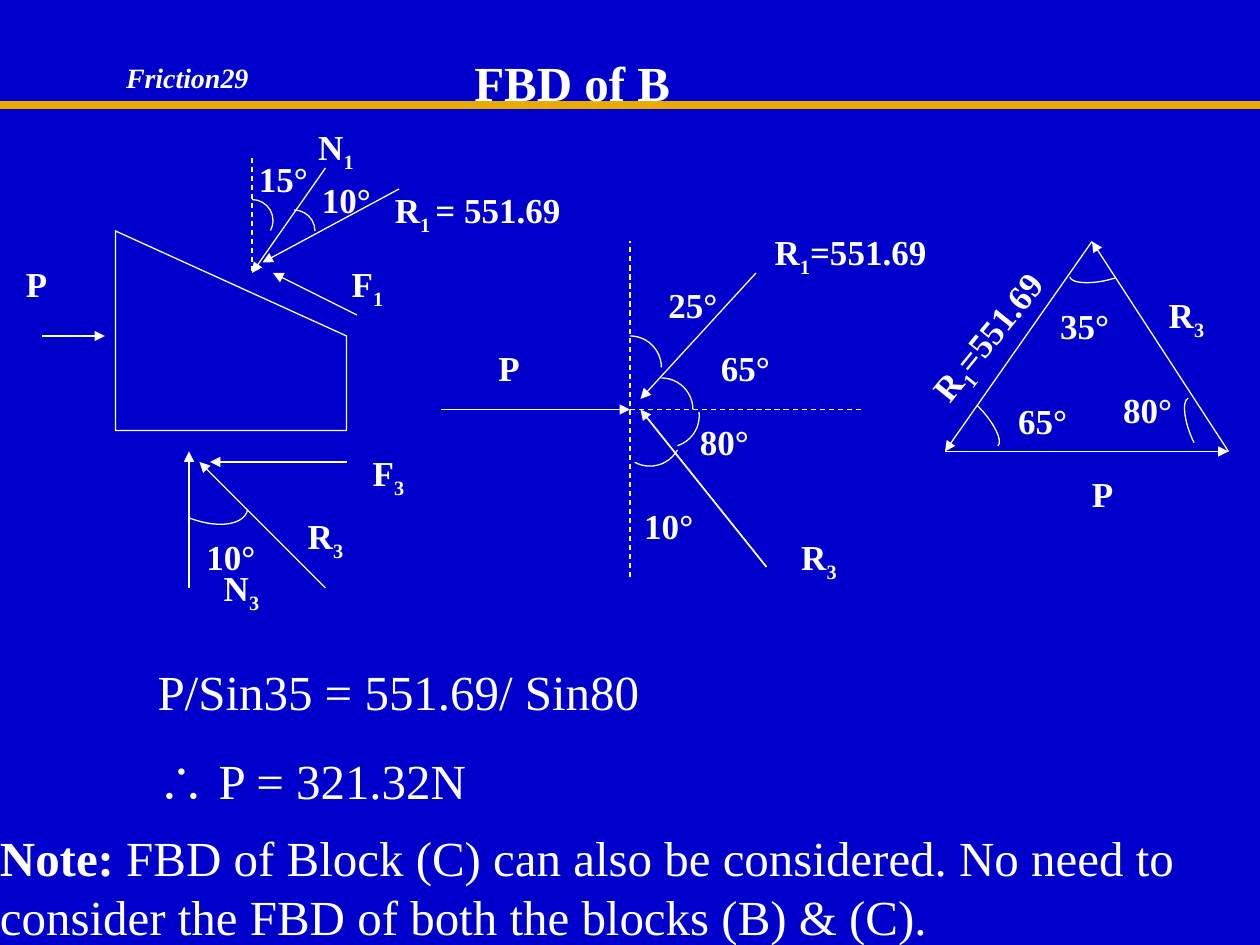
from dataclasses import dataclass

import pptx
import pptx.dml.color
import pptx.enum.dml
import pptx.enum.shapes
import pptx.enum.text
import pptx.oxml.ns
import pptx.util
from lxml import etree

COLUMNS, ROWS = 120, 90


@dataclass(frozen=True)
class Theme:
    background: str = "0000CC"
    ink: str = "FFFFFF"
    rule: str = "E8AB00"
    font: str = "Times New Roman"
    symbol_font: str = "Arial"
    heading: int = 28
    label: int = 20
    tag: int = 16
    thin: float = 0.75
    medium: float = 1
    thick: float = 4.5


def rgb(code):
    return pptx.dml.color.RGBColor.from_string(code)


class DiagramSlide:
    """Places elements on a grid of 120 columns by 90 rows."""

    def __init__(self, deck, theme):
        self.theme = theme
        self.cell_width = deck.slide_width / COLUMNS
        self.cell_height = deck.slide_height / ROWS
        self.slide = deck.slides.add_slide(deck.slide_layouts[6])
        fill = self.slide.background.fill
        fill.solid()
        fill.fore_color.rgb = rgb(theme.background)

    def spot(self, column, row):
        return round(column * self.cell_width), round(row * self.cell_height)

    def stroke(self, shape, width=None, color=None):
        shape.line.color.rgb = rgb(color or self.theme.ink)
        shape.line.width = pptx.util.Pt(width or self.theme.thin)

    def line(self, start, end, width=None, color=None, arrow=False, dashed=False):
        connector = self.slide.shapes.add_connector(
            pptx.enum.shapes.MSO_CONNECTOR.STRAIGHT, *self.spot(*start), *self.spot(*end))
        self.stroke(connector, width, color)
        if dashed:
            connector.line.dash_style = pptx.enum.dml.MSO_LINE.DASH
        properties = connector._element.spPr
        qn = pptx.oxml.ns.qn
        if arrow:
            etree.SubElement(properties.find(qn("a:ln")), qn("a:tailEnd"), type="triangle")
        etree.SubElement(properties, qn("a:effectLst"))

    def arrow(self, start, end, width=None):
        self.line(start, end, width, arrow=True)

    def outline(self, corners):
        first, *others = [self.spot(*corner) for corner in corners]
        builder = self.slide.shapes.build_freeform(*first)
        builder.add_line_segments(others, close=True)
        block = builder.convert_to_shape()
        block.fill.background()
        block.shadow.inherit = False
        self.stroke(block)

    def arc(self, center, radii, angles, rotation=0):
        """Clockwise elliptical arc; angles in degrees from the ellipse's own x axis."""
        (column, row), (across, down) = center, radii
        curve = self.slide.shapes.add_shape(
            pptx.enum.shapes.MSO_SHAPE.ARC, *self.spot(column - across, row - down),
            *self.spot(2 * across, 2 * down))
        for index, angle in enumerate(angles):
            curve.adjustments[index] = angle % 360 * 0.6  # 60000ths over 100000
        curve.rotation = rotation
        curve.fill.background()
        curve.shadow.inherit = False
        self.stroke(curve)

    def text_frame(self, column, row, width, height, rotation=0):
        box = self.slide.shapes.add_textbox(*self.spot(column, row), *self.spot(width, height))
        box.rotation = rotation
        frame = box.text_frame
        frame.word_wrap = True
        frame.margin_left = frame.margin_right = frame.margin_top = frame.margin_bottom = 0
        return frame

    def style(self, paragraph, size, bold=None, italic=None, centered=False):
        if centered:
            paragraph.alignment = pptx.enum.text.PP_ALIGN.CENTER
        font = paragraph.font
        font.name, font.size = self.theme.font, pptx.util.Pt(size)
        font.bold, font.italic = bold, italic
        font.color.rgb = rgb(self.theme.ink)

    def heading(self, text, column, row, width, height, size, italic=None, centered=False):
        paragraph = self.text_frame(column, row, width, height).paragraphs[0]
        paragraph.text = text
        self.style(paragraph, size, True, italic, centered)

    def label(self, text, column, row, width=6, rotation=0):
        """Centred bold label; every second part between bars is a subscript."""
        height = 4.6 if "|" in text else 4
        paragraph = self.text_frame(column, row, width, height, rotation).paragraphs[0]
        for index, part in enumerate(text.split("|")):
            if part:
                run = paragraph.add_run()
                run.text = part
                if index % 2:
                    run._r.get_or_add_rPr().set("baseline", "-25000")
        self.style(paragraph, self.theme.label, True, centered=True)

    def working(self, equation, result, column, row, width, height):
        frame = self.text_frame(column, row, width, height)
        frame.paragraphs[0].text = equation
        conclusion = frame.add_paragraph()
        conclusion.space_before = pptx.util.Pt(17.5)
        therefore = conclusion.add_run()
        therefore.text = "∴"
        therefore.font.name = self.theme.symbol_font
        conclusion.add_run().text = result
        for paragraph in frame.paragraphs:
            self.style(paragraph, self.theme.heading)

    def note(self, lead, body, column, row, width, height):
        paragraph = self.text_frame(column, row, width, height).paragraphs[0]
        opening = paragraph.add_run()
        opening.text = lead
        opening.font.bold = True
        paragraph.add_run().text = body
        self.style(paragraph, self.theme.heading)


def draw_block(page):
    page.outline([(11, 22), (33, 32), (33, 41), (11, 41)])
    page.line((24, 15), (24, 26), dashed=True)
    for start, end in [((18, 56), (18, 43)), ((31, 56), (19, 44)), ((33, 44), (20, 44)),
                       ((4, 32), (10, 32)), ((34, 30), (26, 26)), ((31, 16), (24, 26)),
                       ((38, 18), (25, 25))]:
        page.arrow(start, end)
    page.arc((24, 21), (2, 2), (-90, 28))
    page.arc((28, 22), (2, 2), (-90, 0))
    page.arc((18.7, 46.8), (5.2, 2.6), (-3, 83), 22.7)
    for text, column, row in [("10°", 19, 51), ("N|3", 20, 54), ("R|3", 28, 49),
                              ("F|3", 34, 43), ("10°", 30, 17), ("15°", 24, 15),
                              ("N|1", 29, 12), ("F|1", 32, 25)]:
        page.label(text, column, row)
    page.label("P", 0, 25, 7)
    page.label("R|1 |= 551.69", 37, 18, 17)


def draw_concurrent_forces(page):
    page.line((60, 55), (60, 23), dashed=True)
    page.line((60, 39), (82, 39), dashed=True)
    page.arrow((42, 39), (60, 39), page.theme.medium)
    page.arrow((73, 54), (61, 39), page.theme.medium)
    page.arrow((72, 26), (61, 38))
    for center, angles in [((60, 35), (-90, 0)), ((63, 39), (-90, 0)),
                           ((63.6, 39.6), (-7, 72)), ((61.9, 41.4), (29, 119))]:
        page.arc(center, (3, 3), angles)
    for text, column, row in [("25°", 63, 27), ("65°", 68, 33), ("80°", 66, 40),
                              ("10°", 60.7, 48), ("R|3", 75, 51)]:
        page.label(text, column, row)
    page.label("P", 45, 33, 7)
    page.label("R|1|=551.69", 73, 22, 16)


def draw_force_triangle(page):
    left, right, top = (90, 43), (117, 43), (104, 23)
    for start, end in [(left, right), (top, left), (right, top)]:
        page.arrow(start, end)
    for center, rotation in [((93.1, 40.1), 50.7), ((104.9, 25.8), 169.1),
                             ((114.2, 40.8), 250.2)]:
        page.arc(center, (3.07, 0.98), (219.5, 0), rotation)
    for text, column, row in [("65°", 96.3, 38), ("35°", 100.3, 29), ("80°", 106.3, 37),
                              ("R|3", 110, 28)]:
        page.label(text, column, row)
    page.label("P", 100, 45, 10)
    page.label("R|1|=551.69", 86.2, 29.9, 16, 308.9)


def main():
    deck = pptx.Presentation()
    deck.slide_width, deck.slide_height = pptx.util.Inches(10), pptx.util.Inches(7.5)
    theme = Theme()
    page = DiagramSlide(deck, theme)
    page.line((0, 10), (COLUMNS, 10), theme.thick, theme.rule)
    page.heading("FBD of B", 39, 5, 31, 5.6, theme.heading, centered=True)
    page.heading("Friction29", 12, 5.8, 20, 3.2, theme.tag, italic=True)
    draw_block(page)
    draw_concurrent_forces(page)
    draw_force_triangle(page)
    page.working("P/Sin35 = 551.69/ Sin80", " P = 321.32N", 15, 63, 58, 14.9)
    page.note("Note:", " FBD of Block (C) can also be considered. No need to consider "
              "the FBD of both the blocks (B) & (C).", 0, 78.8, 115, 11.2)
    deck.save("out.pptx")


if __name__ == "__main__":
    main()
